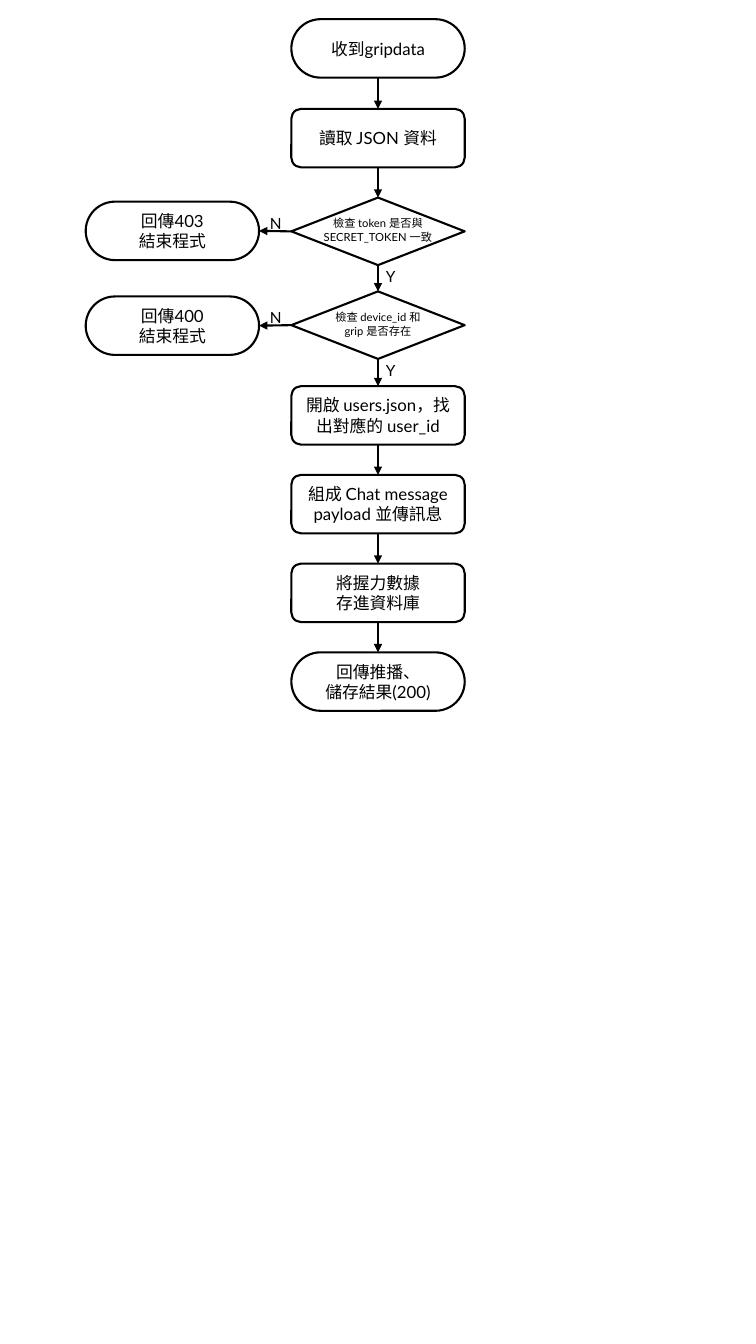
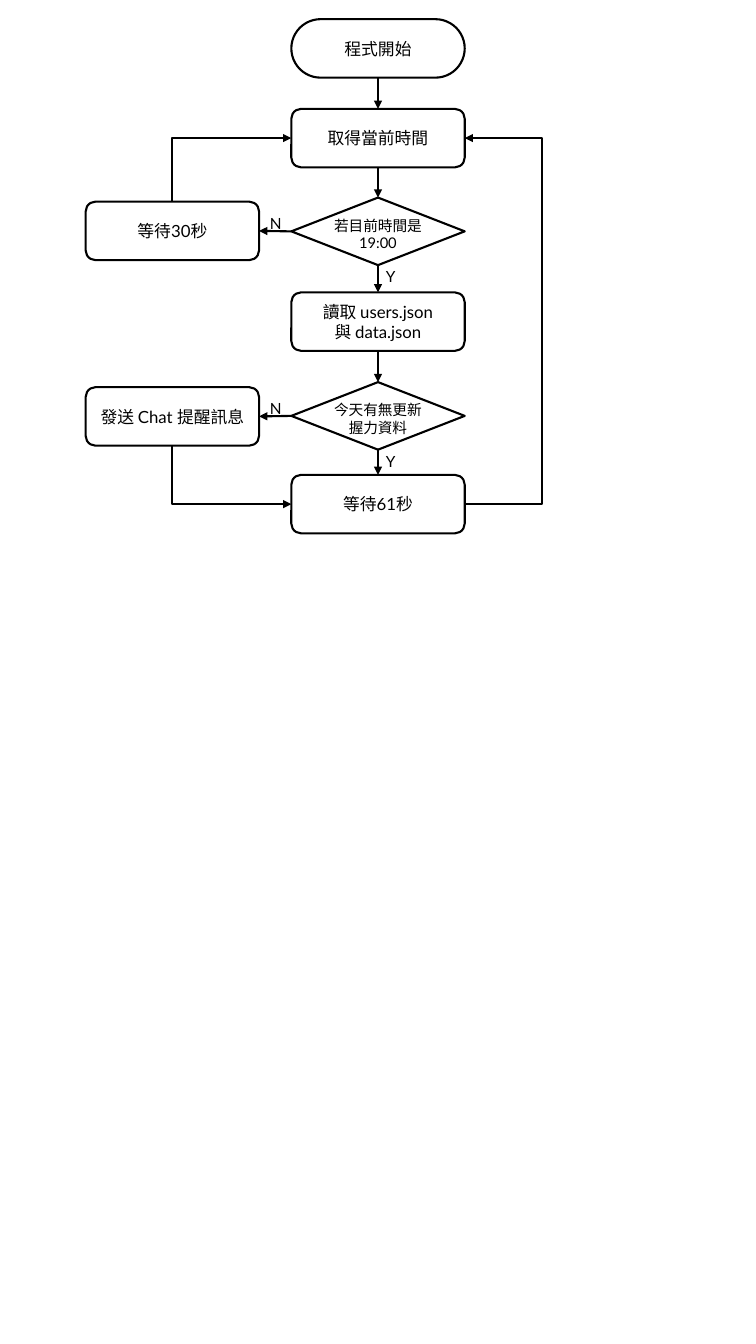
"""Build two flowcharts: receiving grip data and the daily reminder loop."""
from lxml.etree import SubElement
from pptx import Presentation
from pptx.dml.color import RGBColor
from pptx.enum.shapes import MSO_CONNECTOR, MSO_SHAPE
from pptx.enum.text import MSO_ANCHOR, PP_ALIGN
from pptx.oxml.ns import qn
from pptx.util import Inches, Pt

FONT = "Lato"
INK = RGBColor.from_string("000000")
MAIN_X, SIDE_X = 2.89, 0.85
BOX_W, BOX_H, DECISION_H = 1.72, 0.58, 0.67
TOP, LEFT, BOTTOM, RIGHT = range(4)
LOOP_OUT, LOOP_W = 0.77, 0.01

SLIDES = [
    {
        "decision_size": 8,
        "nodes": [
            ("receive", "terminal", MAIN_X, 0.19, ["收到gripdata"]),
            ("read", "process", MAIN_X, 1.08, ["讀取 JSON 資料"]),
            ("token", "decision", MAIN_X, 1.96, ["檢查 token 是否與 SECRET_TOKEN 一致"]),
            ("error_403", "terminal", SIDE_X, 2.0, ["回傳403", "結束程式"]),
            ("fields", "decision", MAIN_X, 2.89, ["檢查 device_id 和", "grip 是否存在"]),
            ("error_400", "terminal", SIDE_X, 2.94, ["回傳400", "結束程式"]),
            ("find_user", "process", MAIN_X, 3.83, ["開啟 users.json，找出對應的 user_id"]),
            ("send", "process", MAIN_X, 4.71, ["組成 Chat message payload 並傳訊息"]),
            ("store", "process", MAIN_X, 5.59, ["將握力數據", "存進資料庫"]),
            ("result", "terminal", MAIN_X, 6.47, ["回傳推播、", "儲存結果(200)"]),
        ],
        "links": [
            ("receive", BOTTOM, "read", TOP, ""),
            ("read", BOTTOM, "token", TOP, ""),
            ("token", LEFT, "error_403", RIGHT, "N"),
            ("token", BOTTOM, "fields", TOP, "Y"),
            ("fields", LEFT, "error_400", RIGHT, "N"),
            ("fields", BOTTOM, "find_user", TOP, "Y"),
            ("find_user", BOTTOM, "send", TOP, ""),
            ("send", BOTTOM, "store", TOP, ""),
            ("store", BOTTOM, "result", TOP, ""),
        ],
    },
    {
        "decision_size": 10.5,
        "nodes": [
            ("start", "terminal", MAIN_X, 0.19, ["程式開始"]),
            ("now", "process", MAIN_X, 1.08, ["取得當前時間"]),
            ("is_seven", "decision", MAIN_X, 1.96, ["若目前時間是 19:00"]),
            ("wait_30", "process", SIDE_X, 2.0, ["等待30秒"]),
            ("read", "process", MAIN_X, 2.9, ["讀取 users.json", "與 data.json"]),
            ("updated", "decision", MAIN_X, 3.79, ["今天有無更新", "握力資料"]),
            ("remind", "process", SIDE_X, 3.84, ["發送 Chat 提醒訊息"]),
            ("wait_61", "process", MAIN_X, 4.71, ["等待61秒"]),
        ],
        "links": [
            ("start", BOTTOM, "now", TOP, ""),
            ("now", BOTTOM, "is_seven", TOP, ""),
            ("is_seven", LEFT, "wait_30", RIGHT, "N"),
            ("is_seven", BOTTOM, "read", TOP, "Y"),
            ("read", BOTTOM, "updated", TOP, ""),
            ("updated", LEFT, "remind", RIGHT, "N"),
            ("updated", BOTTOM, "wait_61", TOP, "Y"),
            ("wait_30", TOP, "now", LEFT, ""),
            ("remind", BOTTOM, "wait_61", LEFT, ""),
            ("wait_61", RIGHT, "now", RIGHT, ""),
        ],
    },
]


def write(sp, lines, size, align):
    tf = sp.text_frame
    tf.word_wrap = True
    for i, line in enumerate(lines):
        p = tf.paragraphs[0] if i == 0 else tf.add_paragraph()
        p.alignment = align
        r = p.add_run()
        r.text = line
        r.font.name = FONT
        r.font.size = Pt(size)
        r.font.color.rgb = INK


def connect(s, a, begin, b, end):
    straight = (begin, end) in ((BOTTOM, TOP), (LEFT, RIGHT))
    c = s.shapes.add_connector(MSO_CONNECTOR.STRAIGHT if straight else MSO_CONNECTOR.ELBOW, 0, 0, 0, 0)
    c.begin_connect(a, begin)
    c.end_connect(b, end)
    c.line.color.rgb = INK
    c.line.width = Pt(1.5)
    SubElement(c.line._get_or_add_ln(), qn("a:tailEnd"), type="triangle")
    spPr = c._element.spPr
    SubElement(spPr, qn("a:effectLst"))
    if straight:
        return c
    xfrm, geom = spPr.find(qn("a:xfrm")), spPr.find(qn("a:prstGeom"))
    if begin == RIGHT:
        c.width = Inches(LOOP_W)
        xfrm.set("flipH", "1")
        guides = geom.find(qn("a:avLst"))
        SubElement(guides, qn("a:gd"), name="adj1", fmla=f"val {round(-LOOP_OUT / LOOP_W * 100000)}")
    else:
        geom.set("prst", "bentConnector2")
        mid_x, mid_y = c.left + c.width // 2, c.top + c.height // 2
        c.width, c.height = c.height, c.width
        c.left, c.top = mid_x - c.width // 2, mid_y - c.height // 2
        xfrm.set("rot", str((90 if begin == TOP else 270) * 60000))
        xfrm.set("flipH", "1")
        xfrm.set("flipV", "1" if begin == TOP else "0")
    return c


prs = Presentation()
prs.slide_width, prs.slide_height = Inches(7.5), Inches(13.33)

for chart in SLIDES:
    s = prs.slides.add_slide(prs.slide_layouts[6])
    nodes = {}
    for name, kind, x, y, lines in chart["nodes"]:
        decision = kind == "decision"
        sp = s.shapes.add_shape(
            MSO_SHAPE.FLOWCHART_DECISION if decision else MSO_SHAPE.ROUNDED_RECTANGLE,
            Inches(x), Inches(y), Inches(BOX_W), Inches(DECISION_H if decision else BOX_H))
        sp.shadow.inherit = False
        sp.fill.background()
        sp.line.color.rgb = INK
        sp.line.width = Pt(1.5)
        nodes[name] = sp
        if kind == "terminal":
            sp.adjustments[0] = 0.5
        if decision:
            tb = s.shapes.add_textbox(Inches(x + 0.13), Inches(y + 0.14), Inches(1.46), Inches(0.4))
            write(tb, lines, chart["decision_size"], PP_ALIGN.CENTER)
        else:
            sp.text_frame.vertical_anchor = MSO_ANCHOR.MIDDLE
            write(sp, lines, 12, PP_ALIGN.CENTER)

    for source, begin, target, end, label in chart["links"]:
        c = connect(s, nodes[source], begin, nodes[target], end)
        if label:
            dx, dy = (0.01, -0.22) if begin == LEFT else (-0.02, -0.03)
            tb = s.shapes.add_textbox(c.left + Inches(dx), c.top + Inches(dy), Inches(0.31), Inches(0.29))
            write(tb, [label], 11, PP_ALIGN.LEFT)

prs.save("out.pptx")
